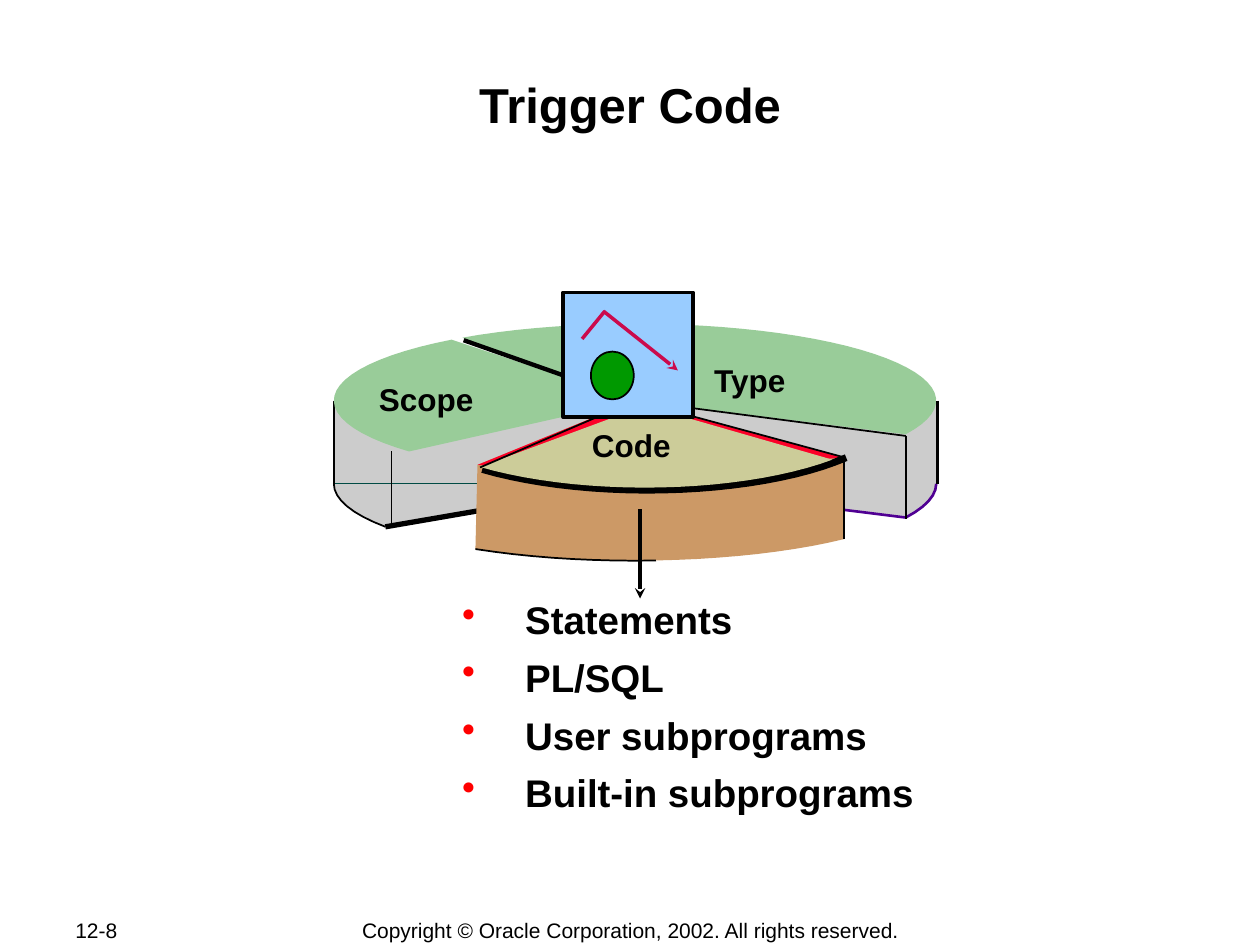
import math
from pptx import Presentation
from pptx import util as u
from pptx.dml.color import RGBColor
from pptx.enum import shapes, text
from pptx.oxml.ns import qn
from lxml import etree

# Grid of 100 columns by 75 rows, each cell a tenth of an inch
COLS, ROWS = 100, 75
CELL = u.Inches(0.1)
FONT = "Arial"

BLACK = RGBColor(0, 0, 0)
BULLET_RED = RGBColor(0xFF, 0, 0)
GREEN = RGBColor(0x99, 0xCC, 0x99)
GREY = RGBColor(0xCC, 0xCC, 0xCC)
BROWN = RGBColor(0xCC, 0x99, 0x66)
TAN = RGBColor(0xCC, 0xCC, 0x99)
RED = RGBColor(0xFC, 0x01, 0x28)
PURPLE = RGBColor(0x50, 0x00, 0x93)
TEAL = RGBColor(0x00, 0x4B, 0x44)
SKY = RGBColor(0x99, 0xCC, 0xFF)
DISC = RGBColor(0x00, 0x99, 0x00)
CRIMSON = RGBColor(0xCB, 0x0A, 0x4C)

# Pie geometry: centres of the top and bottom faces
TOP, BASE = (50.4, 31.8), (50.4, 38.4)
RADII = (23.9, 6.1)
LEFT, RIGHT = TOP[0] - RADII[0], TOP[0] + RADII[0]


def cells(*values):
    return [int(v * CELL) for v in values]


def arc(centre, start, end, radii=RADII):
    """Points on an ellipse, clockwise from the right, in degrees."""
    steps = max(4, round(abs(end - start) / 4))
    angles = [math.radians(start + (end - start) * i / steps) for i in range(steps + 1)]
    return [(centre[0] + radii[0] * math.cos(a), centre[1] + radii[1] * math.sin(a))
            for a in angles]


def paint(sp, fill, line, width):
    sp.shadow.inherit = False
    if fill is None:
        sp.fill.background()
    else:
        sp.fill.solid()
        sp.fill.fore_color.rgb = fill
    if line is None:
        sp.line.fill.background()
    else:
        sp.line.color.rgb = line
        sp.line.width = u.Pt(width)


def add_outline(s, points, fill=None, line=None, width=1):
    """A filled polygon, or an open curve when there is no fill."""
    points = [cells(*p) for p in points]
    builder = s.shapes.build_freeform(*points[0])
    builder.add_line_segments(points[1:], close=fill is not None)
    paint(builder.convert_to_shape(), fill, line, width)


def add_preset(s, kind, box, fill, width):
    paint(s.shapes.add_shape(kind, *cells(*box)), fill, BLACK, width)


def add_line(s, start, end, color=BLACK, width=1, arrow=False):
    c = s.shapes.add_connector(shapes.MSO_CONNECTOR.STRAIGHT, *cells(*start, *end))
    c.line.color.rgb = color
    c.line.width = u.Pt(width)
    if arrow:
        etree.SubElement(c.line._get_or_add_ln(), qn("a:tailEnd"), type="stealth")
    etree.SubElement(c._element.spPr, qn("a:effectLst"))


def add_bullet(p):
    pPr = p._p.get_or_add_pPr()
    pPr.set("marL", str(u.Inches(0.63)))
    pPr.set("indent", str(u.Inches(-0.5)))
    color = etree.SubElement(pPr, qn("a:buClr"))
    etree.SubElement(color, qn("a:srgbClr"), val=str(BULLET_RED))
    etree.SubElement(pPr, qn("a:buChar"), char="•")


def add_text(s, box, lines, size, bold=True, align=text.PP_ALIGN.LEFT,
             anchor=text.MSO_ANCHOR.TOP, bullets=False):
    tf = s.shapes.add_textbox(*cells(*box)).text_frame
    tf.word_wrap = True
    tf.vertical_anchor = anchor
    tf.text = "\n".join(lines)
    for i, p in enumerate(tf.paragraphs):
        p.alignment = align
        if i:
            p.space_before = u.Pt(6.7)
        if bullets:
            add_bullet(p)
        for r in p.runs:
            r.font.name, r.font.size, r.font.bold = FONT, u.Pt(size), bold
            r.font.color.rgb = BLACK
    return tf


def add_back_slices(s):
    # Grey side walls
    right_rim, left_rim = arc(BASE, 0, 26), arc(BASE, 146, 180)
    add_outline(s, [TOP, (RIGHT, TOP[1]), *right_rim, BASE], GREY)
    add_outline(s, [TOP, BASE, *left_rim, (LEFT, TOP[1])], GREY)
    add_outline(s, [*right_rim, BASE], line=PURPLE, width=1.5)
    add_outline(s, left_rim, line=BLACK)
    add_line(s, left_rim[0], BASE, width=3)
    add_line(s, (LEFT, BASE[1]), BASE, TEAL, 0.5)
    add_line(s, (LEFT, TOP[1]), (LEFT, BASE[1]))
    add_line(s, (RIGHT + 0.1, TOP[1]), (RIGHT + 0.1, BASE[1]), width=1.5)
    add_line(s, (71.9, 34.6), (71.9, 41.2), width=1.5)
    # Green top faces, with the seam and the edge between them
    add_outline(s, [TOP, *arc(TOP, 138.6, 232.5)], GREEN)
    add_outline(s, [TOP, *arc(TOP, 235, 386)], GREEN)
    add_line(s, TOP, (36.8, 27), width=2.5)
    add_line(s, TOP, (71.9, 34.6))
    add_line(s, (31.1, 35.8), (31.1, 41.6), width=0.75)


def add_front_slice(s):
    rim = arc(BASE, 46, 122)
    right, left = (67, 36.3), (37.9, 36.9)
    add_outline(s, [TOP, right, *rim, left], BROWN)
    add_outline(s, rim[len(rim) // 2:], line=BLACK)
    add_line(s, right, (67, 42.8))
    add_outline(s, [TOP, right, (50, 37.8), left], RED)
    hub, radii = (51.2, 32), (20, 6.7)
    add_outline(s, arc((51.4, 32.2), 38, 131, radii), line=BLACK, width=4)
    add_outline(s, [(51.2, 32.2), *arc(hub, 42, 131, radii)], TAN)
    add_line(s, TOP, right)
    add_line(s, TOP, (38.1, 37.1))


def add_icon(s):
    add_preset(s, shapes.MSO_SHAPE.RECTANGLE, (44.7, 23.2, 10.3, 9.9), SKY, 2)
    add_preset(s, shapes.MSO_SHAPE.OVAL, (46.9, 27.9, 3.4, 3.8), DISC, 1)
    add_line(s, (48, 24.7), (46.2, 26.9), CRIMSON, 2)
    add_line(s, (47.9, 24.7), (53.8, 29.4), CRIMSON, 2, arrow=True)


def main():
    prs = Presentation()
    prs.slide_width, prs.slide_height = COLS * CELL, ROWS * CELL
    s = prs.slides.add_slide(prs.slide_layouts[6])
    centre, middle = text.PP_ALIGN.CENTER, text.MSO_ANCHOR.MIDDLE

    # Title
    tf = add_text(s, (10, 5.8, 80, 9.6), ["Trigger Code"], 28, align=centre)
    tf.margin_left = tf.margin_right = tf.margin_top = tf.margin_bottom = u.Inches(0.01)

    # Pie with labels and icon
    add_back_slices(s)
    add_front_slice(s)
    for label, x, y in (("Type", 55.7, 28.2), ("Scope", 29.1, 29.7), ("Code", 46, 33.3)):
        add_text(s, (x, y, 11.7, 4), [label], 18)
    add_icon(s)

    # Contents of the code slice
    items = ["Statements", "PL/SQL", "User subprograms", "Built-in subprograms"]
    add_text(s, (34.4, 46.8, 42.3, 18), items, 22, bullets=True)
    add_line(s, (50.8, 40.4), (50.8, 47.5), width=2, arrow=True)

    # Footer
    add_text(s, (5, 72.8, 10.6, 2), ["12-8"], 12, bold=False, anchor=middle)
    add_text(s, (27.6, 72.8, 44.9, 2),
             ["Copyright © Oracle Corporation, 2002. All rights reserved."],
             12, bold=False, align=centre, anchor=middle)

    prs.save("out.pptx")


if __name__ == "__main__":
    main()
